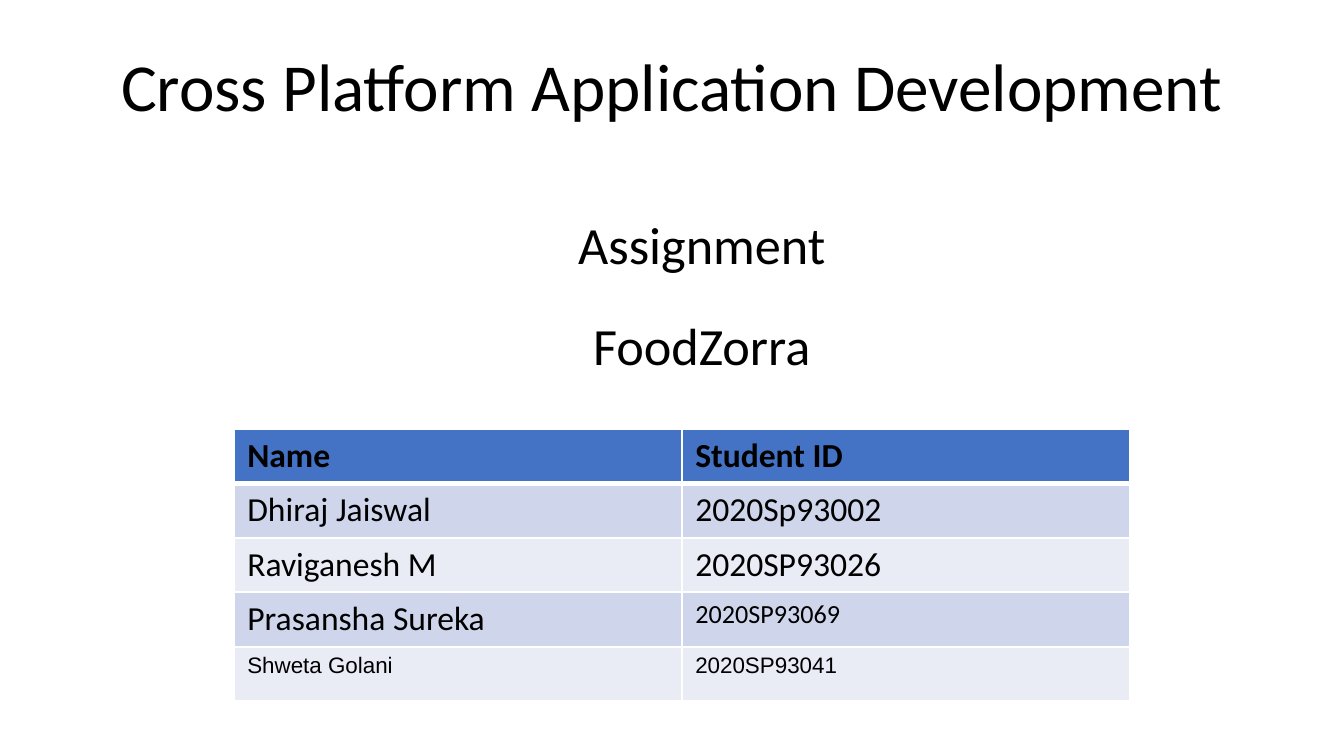
from dataclasses import dataclass

from lxml import etree
from pptx import Presentation
from pptx.dml.color import RGBColor
from pptx.enum.text import MSO_ANCHOR, PP_ALIGN
from pptx.oxml.ns import qn
from pptx.util import Pt

CENTER = PP_ALIGN.CENTER
MIDDLE = MSO_ANCHOR.MIDDLE
BLACK = RGBColor(0, 0, 0)
WHITE = RGBColor(255, 255, 255)
BLUE = RGBColor(0x44, 0x72, 0xC4)
BANDS = (RGBColor(0xCF, 0xD5, 0xEA), RGBColor(0xE9, 0xEB, 0xF5))
COL_W, ROW_H = 240, 29.2


@dataclass
class Label:
    text: str
    left: float
    top: float
    width: float
    height: float
    size: float
    inset: float = 3.6
    spacing: float = 1.0


@dataclass
class Entry:
    text: str
    size: float = 18
    font: str = "Calibri"
    bold: bool = False


LABELS = [
    Label("Cross Platform Application Development", 24.5, 15.1, 671, 66.2, 36, 7.2, 0.9),
    Label("Assignment", 218.2, 110.2, 315.4, 41, 28),
    Label("FoodZorra", 218.2, 164.2, 315.4, 41, 28),
]
ROWS = [
    (Entry("Name", bold=True), Entry("Student ID", bold=True)),
    (Entry("Dhiraj Jaiswal"), Entry("2020Sp93002")),
    (Entry("Raviganesh M"), Entry("2020SP93026")),
    (Entry("Prasansha Sureka"), Entry("2020SP93069", 14)),
    (Entry("Shweta Golani", 12, "Arial"), Entry("2020SP93041", 12, "Arial")),
]


def add_run(para, entry: Entry) -> None:
    run = para.add_run()
    run.text = entry.text
    font = run.font
    font.name, font.size, font.bold = entry.font, Pt(entry.size), entry.bold
    font.color.rgb = BLACK


def add_label(slide, label: Label) -> None:
    box = slide.shapes.add_textbox(
        Pt(label.left), Pt(label.top), Pt(label.width), Pt(label.height))
    frame = box.text_frame
    frame.word_wrap = True
    frame.vertical_anchor = MIDDLE
    frame.margin_top = frame.margin_bottom = Pt(label.inset)
    para = frame.paragraphs[0]
    para.alignment = CENTER
    para.line_spacing = label.spacing
    add_run(para, Entry(label.text, label.size))


def set_edge(cell, side: str, width: float) -> None:
    """Draw one white cell border; side is L, R, T or B."""
    props = cell._tc.get_or_add_tcPr()
    line = etree.SubElement(props, qn(f"a:ln{side}"), w=str(Pt(width)))
    fill = etree.SubElement(line, qn("a:solidFill"))
    etree.SubElement(fill, qn("a:srgbClr"), val=str(WHITE))


def add_roster(slide, left: float, top: float) -> None:
    cols = len(ROWS[0])
    table = slide.shapes.add_table(
        len(ROWS), cols, Pt(left), Pt(top),
        Pt(COL_W * cols), Pt(ROW_H * len(ROWS))).table
    for r, row in enumerate(ROWS):
        for c, entry in enumerate(row):
            cell = table.cell(r, c)
            for side in "LRTB":
                thick = (r, side) in ((0, "B"), (1, "T"))
                set_edge(cell, side, 3 if thick else 1)
            cell.fill.solid()
            cell.fill.fore_color.rgb = BANDS[(r - 1) % 2] if r else BLUE
            add_run(cell.text_frame.paragraphs[0], entry)


def main() -> None:
    deck = Presentation()
    deck.slide_width, deck.slide_height = Pt(720), Pt(405)
    slide = deck.slides.add_slide(deck.slide_layouts[6])
    for label in LABELS:
        add_label(slide, label)
    add_roster(slide, 125.3, 229.7)
    deck.save("out.pptx")


if __name__ == "__main__":
    main()
